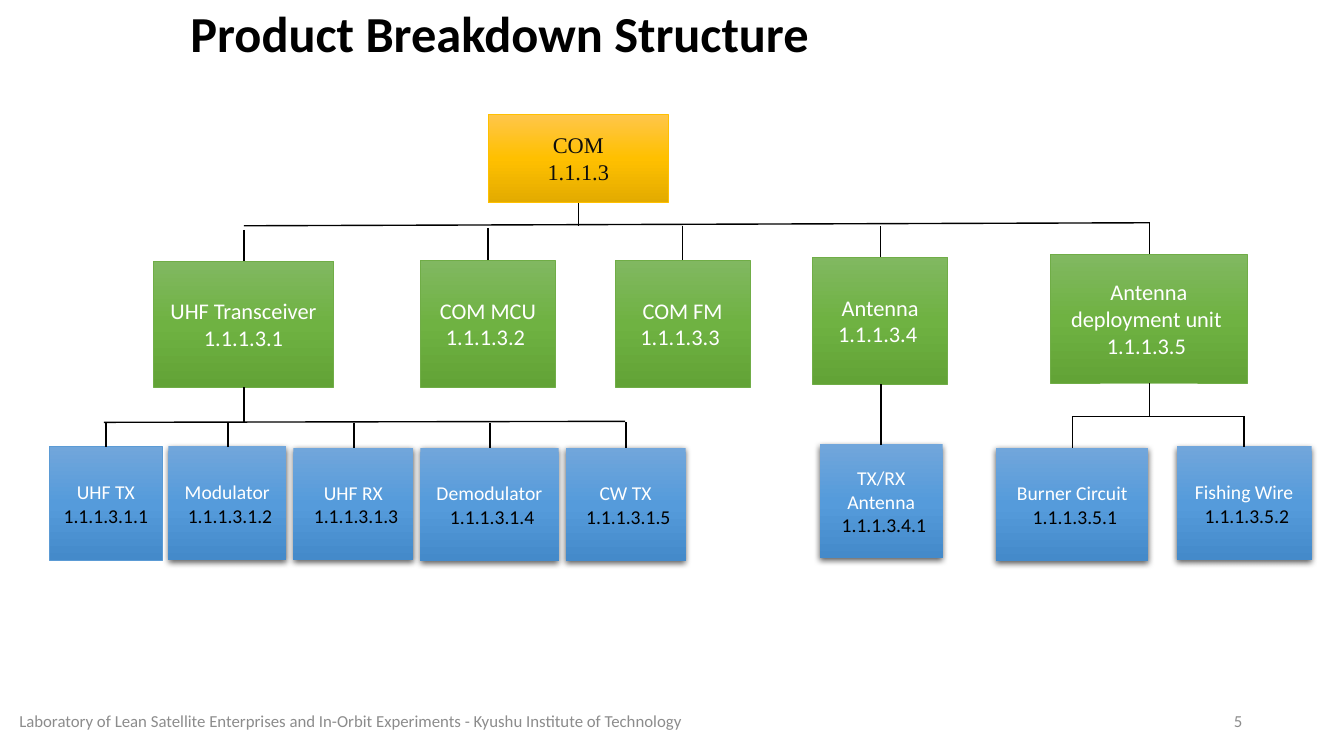
import copy
from dataclasses import dataclass

import pptx
import pptx.dml.color
import pptx.enum.shapes
import pptx.enum.text
import pptx.oxml
import pptx.oxml.ns
import pptx.util

PX = 9144  # EMU per px, 100 px to the inch
COLOURS = {
    "black": "000000", "ink": "0D0D0D", "white": "FFFFFF", "grey": "8C8C8C",
    "gold": "FFC000", "green": "70AD47", "blue": "5B9BD5",
}
GRADIENTS = {
    "gold": ("FFC64B", "FFC000", "E3AB00"),
    "green": ("81B861", "6FB242", "62A336"),
    "blue": ("71A6DB", "559BDB", "448ACA"),
}
CENTER = pptx.enum.text.PP_ALIGN.CENTER
SHADOW = (
    f'<a:outerShdw {pptx.oxml.ns.nsdecls("a")} blurRad="57150" dist="19050" dir="5400000" '
    'algn="ctr" rotWithShape="0"><a:srgbClr val="000000"><a:alpha val="63000"/></a:srgbClr>'
    '</a:outerShdw>'
)


@dataclass(frozen=True)
class Run:
    text: str
    colour: str = "white"
    font: str = "Calibri"


@dataclass(frozen=True)
class Product:
    left: int
    top: int
    width: int
    height: int
    lines: list[list[Run]]
    hue: str
    size: int
    rail: int | None = None  # height at which the line from the parent starts
    shadow: bool = False
    inset: int = 10

    @property
    def center(self) -> int:
        return self.left + (self.width + 1) // 2


def assembly(left: int, top: int, width: int, height: int, rail: int, *lines: str) -> Product:
    return Product(left, top, width, height, [[Run(line)] for line in lines], "green", 16, rail)


def part(left: int, top: int, width: int, height: int, rail: int, label: str, code: str,
         shadow: bool = True) -> Product:
    code_runs = [Run(code, "black")]
    if shadow:
        code_runs.insert(0, Run(" ", "black", "Arial"))
    return Product(left, top, width, height, [[Run(label)], code_runs], "blue", 14, rail, shadow)


COM = Product(484, 113, 179, 88,
              [[Run(line, "ink", "Times New Roman")] for line in ("COM", "1.1.1.3")],
              "gold", 16, inset=5)
TRANSCEIVER = assembly(152, 259, 179, 125, 228, "UHF Transceiver", "1.1.1.3.1")
DEPLOYMENT = assembly(1042, 252, 195, 128, 220, "Antenna deployment unit ", "1.1.1.3.5 ")
PRODUCTS = [
    COM,
    TRANSCEIVER,
    assembly(417, 258, 134, 126, 226, "COM MCU 1.1.1.3.2 "),
    assembly(610, 258, 134, 126, 224, "COM FM 1.1.1.3.3 "),
    assembly(806, 255, 134, 126, 224, "Antenna", "1.1.1.3.4 "),
    DEPLOYMENT,
    part(49, 443, 112, 113, 420, "UHF TX", "1.1.1.3.1.1", shadow=False),
    part(167, 443, 117, 113, 420, "Modulator", "1.1.1.3.1.2"),
    part(291, 444, 119, 112, 420, "UHF RX", "1.1.1.3.1.3"),
    part(417, 444, 137, 113, 420, "Demodulator", "1.1.1.3.1.4"),
    part(561, 444, 119, 113, 419, "CW TX", "1.1.1.3.1.5"),
    part(813, 441, 122, 113, 381, "TX/RX Antenna", "1.1.1.3.4.1"),
    part(988, 444, 151, 113, 413, "Burner Circuit", "1.1.1.3.5.1"),
    part(1167, 443, 134, 113, 413, "Fishing Wire", "1.1.1.3.5.2"),
]
RAILS = [(242, 224, 1140, 221), (103, 419, 620, 418), (1063, 413, 1234, 413)]
STEMS = [(COM, 224), (TRANSCEIVER, 420), (DEPLOYMENT, 414)]


def rgb(value: str) -> pptx.dml.color.RGBColor:
    return pptx.dml.color.RGBColor.from_string(value)


def write(frame, lines: list[list[Run]], *, size: int, align=CENTER, bold: bool = False,
          spacing: float | None = None, inset: int = 5) -> None:
    frame.word_wrap = True
    frame.vertical_anchor = pptx.enum.text.MSO_ANCHOR.MIDDLE
    frame.margin_left = frame.margin_right = 10 * PX
    frame.margin_top = frame.margin_bottom = inset * PX
    for index, runs in enumerate(lines):
        paragraph = frame.add_paragraph() if index else frame.paragraphs[0]
        paragraph.alignment = align
        paragraph.line_spacing = spacing
        for item in runs:
            run = paragraph.add_run()
            run.text = item.text
            run.font.name = item.font
            run.font.size = pptx.util.Pt(size)
            run.font.bold = bold
            run.font.color.rgb = rgb(COLOURS[item.colour])


def add_text(slide, box: tuple[int, int, int, int], text: str, *, colour: str, **style) -> None:
    textbox = slide.shapes.add_textbox(*(length * PX for length in box))
    write(textbox.text_frame, [[Run(text, colour)]], **style)


def add_product(slide, product: Product) -> None:
    bounds = (product.left, product.top, product.width, product.height)
    box = slide.shapes.add_shape(pptx.enum.shapes.MSO_SHAPE.RECTANGLE,
                                 *(length * PX for length in bounds))
    fill_gradient(box, GRADIENTS[product.hue])
    box.shadow.inherit = False
    if product.shadow:
        box.line.fill.background()
        effects = box.element.spPr.find(pptx.oxml.ns.qn("a:effectLst"))
        effects.append(pptx.oxml.parse_xml(SHADOW))
    else:
        box.line.color.rgb = rgb(COLOURS[product.hue])
        box.line.width = pptx.util.Pt(0.5)
    write(box.text_frame, product.lines, size=product.size, inset=product.inset)


def fill_gradient(box, colours: tuple[str, str, str]) -> None:
    """Fill from top to bottom with three evenly spaced colours."""
    box.fill.gradient()
    box.fill.gradient_angle = 270
    stop_list = next(box.element.spPr.iter(pptx.oxml.ns.qn("a:gsLst")))
    stop_list.append(copy.deepcopy(stop_list[0]))
    for index, (stop, colour) in enumerate(zip(box.fill.gradient_stops, colours)):
        stop.position = index / 2
        stop.color.rgb = rgb(colour)


def add_line(slide, x1: int, y1: int, x2: int, y2: int) -> None:
    line = slide.shapes.add_connector(pptx.enum.shapes.MSO_CONNECTOR.STRAIGHT,
                                      x1 * PX, y1 * PX, x2 * PX, y2 * PX)
    line.line.color.rgb = rgb(COLOURS["black"])
    line.line.width = pptx.util.Pt(1)
    line.element.spPr.append(pptx.oxml.parse_xml(f'<a:effectLst {pptx.oxml.ns.nsdecls("a")}/>'))


def main() -> None:
    deck = pptx.Presentation()
    deck.slide_width, deck.slide_height = 1333 * PX, 750 * PX
    slide = deck.slides.add_slide(deck.slide_layouts[6])

    add_text(slide, (179, 0, 1062, 72), "Product Breakdown Structure", colour="black",
             size=36, bold=True, spacing=0.9, align=pptx.enum.text.PP_ALIGN.LEFT)
    for product in PRODUCTS:
        add_product(slide, product)
        if product.rail is not None:
            add_line(slide, product.center, product.rail, product.center, product.top)
    for rail in RAILS:
        add_line(slide, *rail)
    for parent, end in STEMS:
        add_line(slide, parent.center, parent.top + parent.height, parent.center, end)

    add_text(slide, (0, 695, 700, 40),
             "Laboratory of Lean Satellite Enterprises and In-Orbit Experiments"
             " - Kyushu Institute of Technology ", colour="grey", size=12)
    add_text(slide, (942, 695, 300, 40), "5", colour="grey", size=12,
             align=pptx.enum.text.PP_ALIGN.RIGHT)
    deck.save("out.pptx")


if __name__ == "__main__":
    main()
